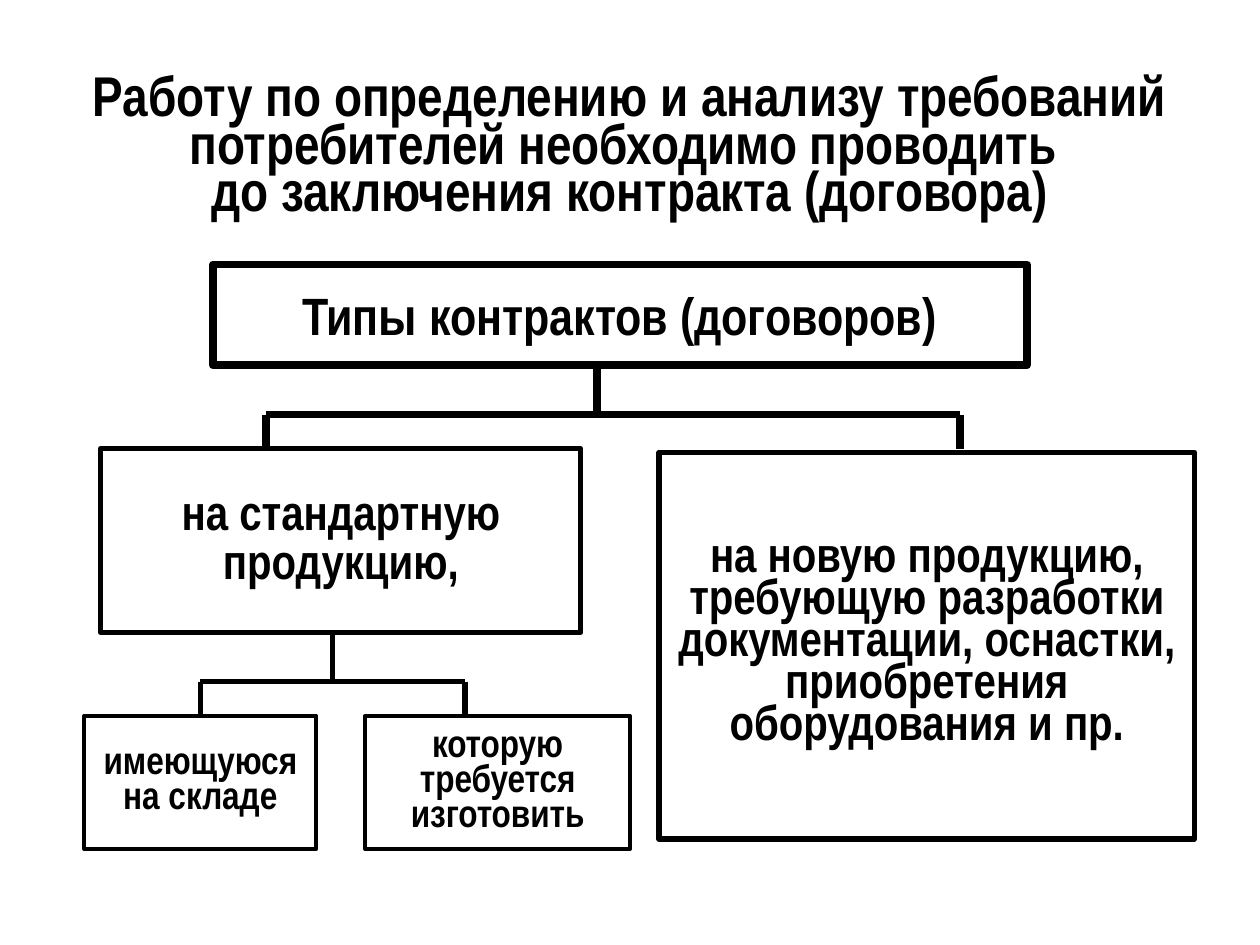
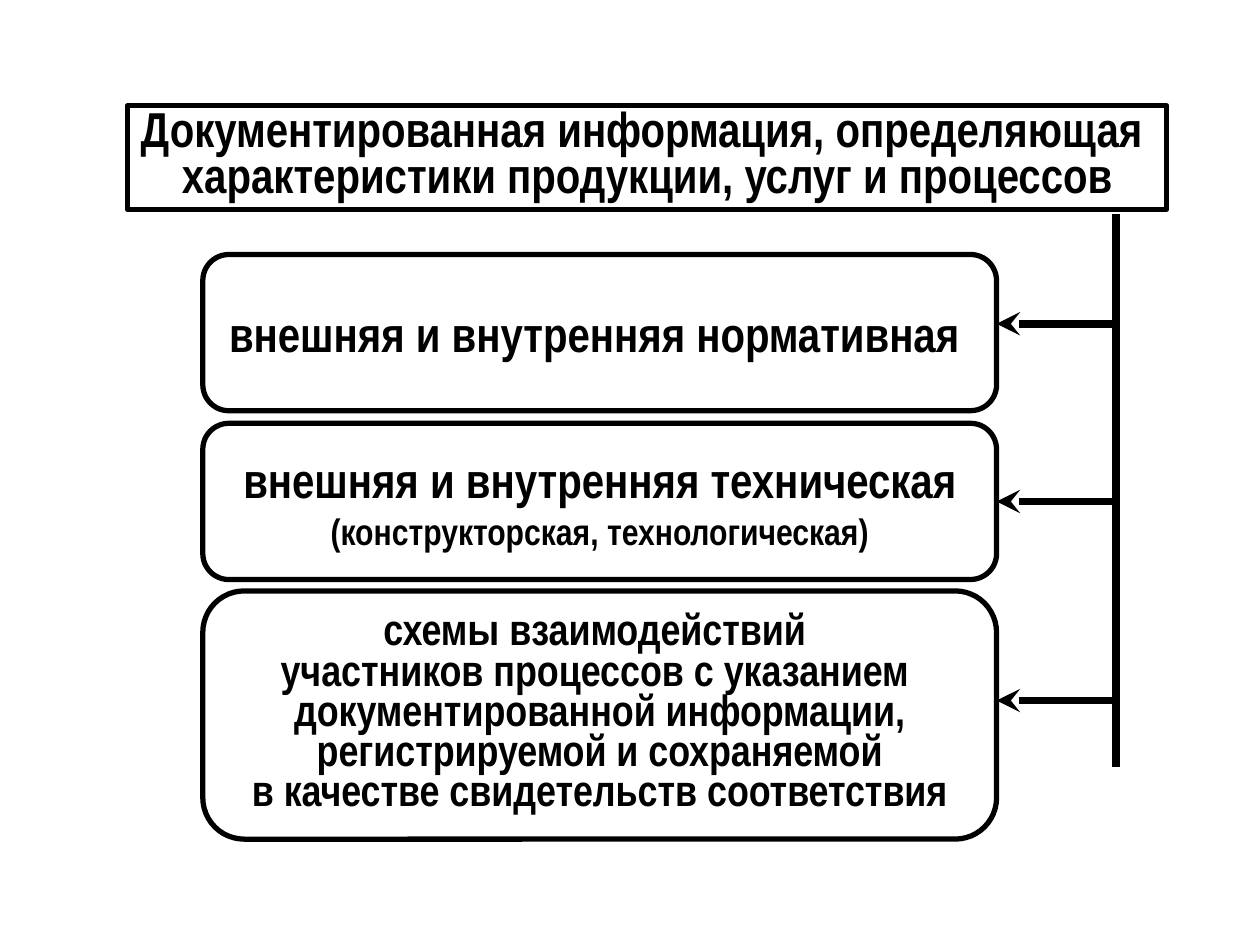
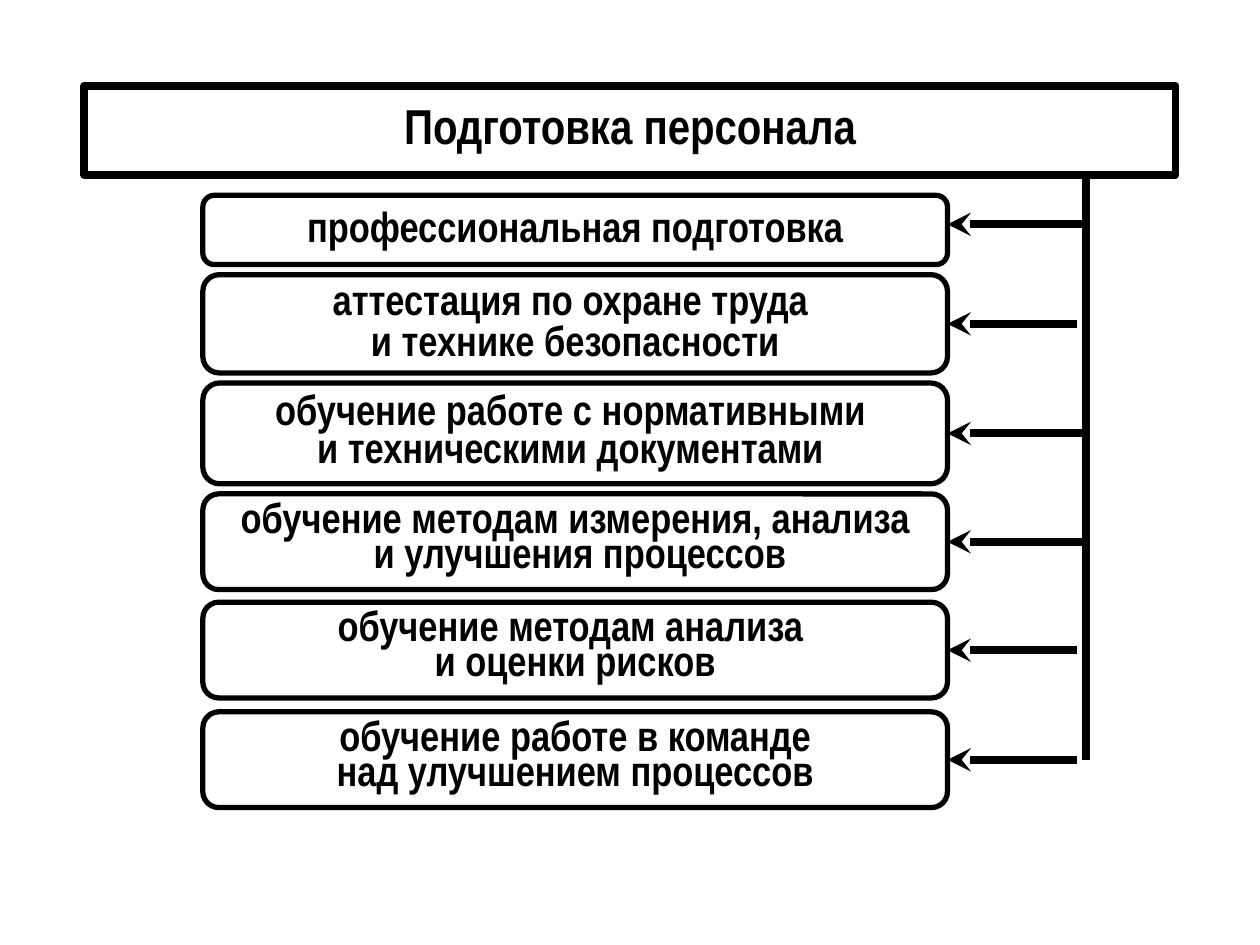
from dataclasses import dataclass
from typing import Optional, Union

from lxml.etree import SubElement
from pptx import Presentation
from pptx.dml.color import RGBColor
from pptx.enum.shapes import MSO_CONNECTOR, MSO_SHAPE
from pptx.enum.text import MSO_ANCHOR, PP_ALIGN
from pptx.oxml.ns import qn
from pptx.shapes.autoshape import Shape
from pptx.shapes.connector import Connector
from pptx.slide import Slide
from pptx.text.text import TextFrame
from pptx.util import Emu, Length, Pt

Gap = Union[Length, float]
SCALE = 9144
TOP, RIGHT = 0, 3


@dataclass(frozen=True)
class Theme:
    ink: RGBColor = RGBColor(0, 0, 0)
    paper: RGBColor = RGBColor(255, 255, 255)
    font: str = "Arial Narrow"
    title: int = 32
    head: int = 30
    large: int = 28
    body: int = 25
    step: int = 24
    small: int = 22
    note: int = 21
    thick: float = 4.5
    medium: float = 3
    thin: float = 2.25


THEME = Theme()


@dataclass(frozen=True)
class Box:
    left: int
    top: int
    width: int
    height: int
    text: str
    size: int
    gap: Gap = 1.0
    line: float = THEME.medium
    round: bool = False
    wrap: bool = True
    solid: bool = False
    rest: int = 0
    lift: int = 0


@dataclass(frozen=True)
class Fork:
    stem: int
    top: int
    bar: int
    foot: int
    left: int
    right: int
    line: float


def px(value: int) -> Emu:
    return Emu(value * SCALE)


def write(frame: TextFrame, text: str, size: int, gap: Gap, wrap: bool = True, rest: int = 0) -> None:
    frame.word_wrap = wrap
    frame.vertical_anchor = MSO_ANCHOR.MIDDLE
    frame.text = text
    for index, para in enumerate(frame.paragraphs):
        para.alignment = PP_ALIGN.CENTER
        para.line_spacing = gap
        para.font.name = THEME.font
        para.font.size = Pt(rest if rest and index else size)
        para.font.bold = True
        para.font.color.rgb = THEME.ink


def draw_box(slide: Slide, box: Box) -> Shape:
    kind = MSO_SHAPE.ROUNDED_RECTANGLE if box.round else MSO_SHAPE.RECTANGLE
    shape = slide.shapes.add_shape(kind, px(box.left), px(box.top), px(box.width), px(box.height))
    shape.shadow.inherit = False
    if box.solid:
        shape.fill.solid()
        shape.fill.fore_color.rgb = THEME.paper
    else:
        shape.fill.background()
    shape.line.color.rgb = THEME.ink
    shape.line.width = Pt(box.line)
    write(shape.text_frame, box.text, box.size, box.gap, box.wrap, box.rest)
    return shape


def draw_line(slide: Slide, x1: int, y1: int, x2: int, y2: int, weight: float, arrow: bool = False) -> Connector:
    line = slide.shapes.add_connector(MSO_CONNECTOR.STRAIGHT, px(x1), px(y1), px(x2), px(y2))
    line.line.color.rgb = THEME.ink
    line.line.width = Pt(weight)
    props = line._element.spPr
    if arrow:
        SubElement(props.find(qn("a:ln")), qn("a:tailEnd"), type="stealth")
    SubElement(props, qn("a:effectLst"))
    return line


def draw_fork(slide: Slide, fork: Fork, child: Optional[Shape] = None) -> None:
    draw_line(slide, fork.left, fork.bar, fork.right, fork.bar, fork.line)
    draw_line(slide, fork.stem, fork.top, fork.stem, fork.bar, fork.line)
    drop = draw_line(slide, fork.left, fork.bar, fork.left, fork.foot, fork.line)
    if child is not None:
        drop.end_connect(child, TOP)
    draw_line(slide, fork.right, fork.bar, fork.right, fork.foot, fork.line)


def draw_item(slide: Slide, box: Box, start: int) -> None:
    shape = draw_box(slide, box)
    level = box.top + box.height // 2 - box.lift
    arrow = draw_line(slide, start, level, box.left + box.width, level, THEME.thick, arrow=True)
    if not box.lift:
        arrow.end_connect(shape, RIGHT)


def draw_types(slide: Slide) -> None:
    title = slide.shapes.add_textbox(px(50), px(58), px(900), px(125))
    write(
        title.text_frame,
        "Работу по определению и анализу требований потребителей "
        "необходимо проводить \vдо заключения контракта (договора)",
        THEME.title,
        Pt(27),
    )
    draw_box(slide, Box(169, 210, 646, 80, "Типы контрактов (договоров)", THEME.head, line=THEME.thick))
    draw_box(slide, Box(80, 356, 381, 146, "на стандартную продукцию,", THEME.large, Pt(28)))
    draw_box(
        slide,
        Box(
            523, 359, 425, 307,
            "на новую продукцию, требующую разработки документации, "
            "оснастки, приобретения оборудования и пр.",
            THEME.large, Pt(24),
        ),
    )
    stock = draw_box(slide, Box(67, 568, 184, 106, "имеющуюся\nна складе", THEME.small, Pt(20), THEME.thin))
    draw_box(slide, Box(290, 568, 210, 106, "которую\nтребуется\nизготовить", THEME.small, Pt(20), THEME.thin))
    draw_fork(slide, Fork(264, 502, 541, 568, 159, 369, THEME.medium), stock)
    draw_fork(slide, Fork(474, 289, 329, 356, 211, 762, THEME.thick))


def draw_papers(slide: Slide) -> None:
    spine = 886

    def item(top: int, height: int, text: str, size: int, gap: Gap = 1.0, rest: int = 0, lift: int = 0) -> None:
        box = Box(161, top, 630, height, text, size, gap, round=True, wrap=False, rest=rest, lift=lift)
        draw_item(slide, box, spine)

    item(202, 124, "внешняя и внутренняя нормативная ", THEME.large, lift=7)
    item(
        336, 124, "внешняя и внутренняя техническая\n(конструкторская, технологическая)",
        THEME.large, rest=THEME.note,
    )
    item(
        469, 197,
        "схемы взаимодействий \n"
        "участников процессов с указанием \n"
        "документированной информации,\n"
        "регистрируемой и сохраняемой\n"
        "в качестве свидетельств соответствия",
        THEME.body, Pt(23), lift=11,
    )
    draw_line(slide, spine, 170, spine, 609, THEME.thick)
    draw_box(
        slide,
        Box(
            101, 84, 825, 82,
            "Документированная информация, определяющая \n"
            "характеристики продукции, услуг и процессов",
            THEME.large, Pt(26), wrap=False,
        ),
    )


def draw_staff(slide: Slide) -> None:
    spine, short = 862, 855
    draw_line(slide, spine, 115, spine, 603, THEME.thick)
    draw_box(
        slide,
        Box(67, 68, 866, 71, "Подготовка персонала", THEME.large, 0.8, THEME.thick, solid=True),
    )

    def item(top: int, height: int, start: int, gap: Gap, text: str, lift: int = 0) -> None:
        box = Box(161, top, 591, height, text, THEME.step, gap, round=True, wrap=False, solid=True, lift=lift)
        draw_item(slide, box, start)

    item(155, 55, spine, 0.8, "профессиональная подготовка", lift=4)
    item(218, 78, short, 0.8, "аттестация по охране труда \nи технике безопасности")
    item(304, 80, spine, Pt(22), "обучение работе с нормативными \nи техническими документами ")
    item(392, 76, spine, Pt(20), "обучение методам измерения, анализа\n и улучшения процессов")
    item(478, 76, short, Pt(20), "обучение методам анализа \nи оценки рисков")
    item(565, 76, short, Pt(20), "обучение работе в команде\nнад улучшением процессов")


def main() -> None:
    deck = Presentation()
    deck.slide_width = px(1000)
    deck.slide_height = px(750)
    for draw in (draw_types, draw_papers, draw_staff):
        draw(deck.slides.add_slide(deck.slide_layouts[6]))
    deck.save("out.pptx")


if __name__ == "__main__":
    main()
